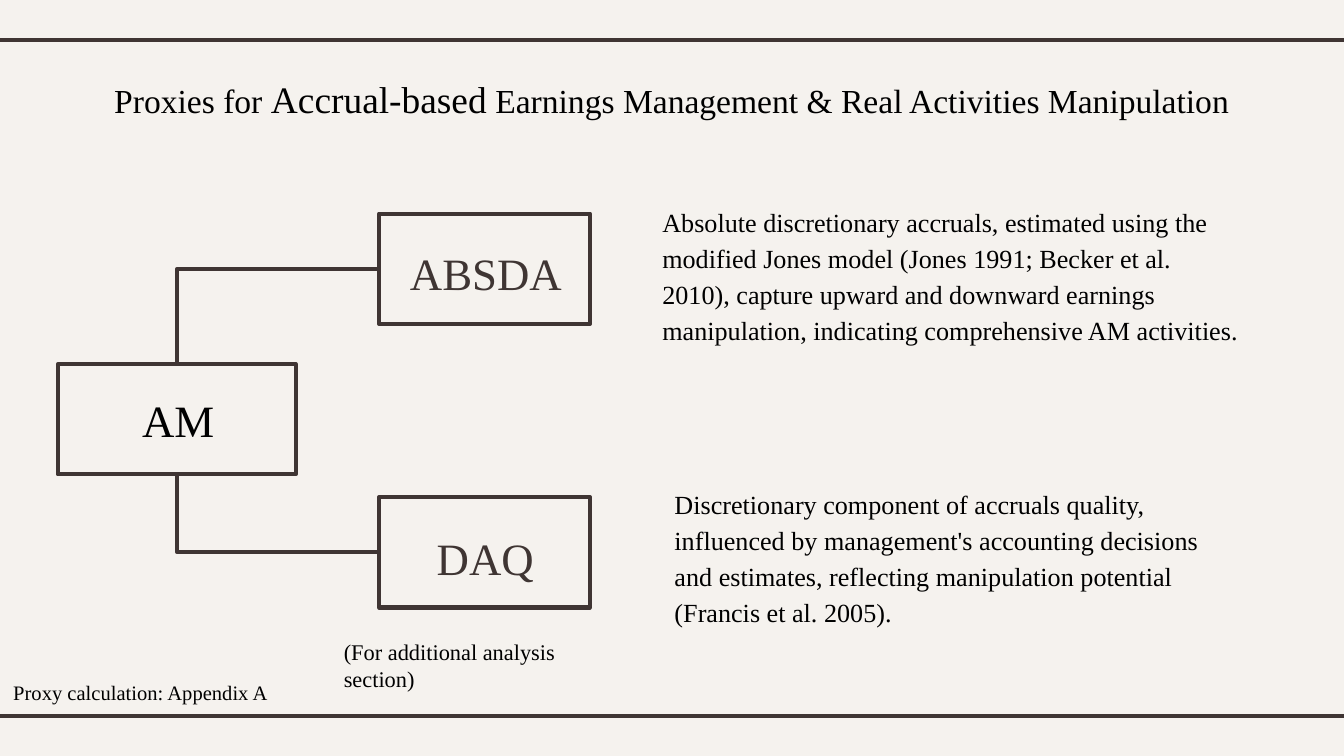
from pptx import Presentation
from pptx.dml.color import RGBColor
from pptx.enum.shapes import MSO_CONNECTOR, MSO_SHAPE
from pptx.enum.text import MSO_ANCHOR, PP_ALIGN
from pptx.oxml.ns import qn
from pptx.util import Inches, Pt
from lxml.etree import SubElement

HUES = {"paper": "F5F2EE", "ink": "3F3533", "text": "000000"}
FONT = "Times New Roman"


class Deck:
    """Hold the style and the current slide."""

    def __init__(self, wide):
        self.show = Presentation()
        self.show.slide_width = Inches(wide)
        self.show.slide_height = Inches(wide * 9 / 16)
        self.slide = self.show.slides.add_slide(self.show.slide_layouts[6])
        fill = self.slide.background.fill
        fill.solid()
        fill.fore_color.rgb = self.hue("paper")

    def hue(self, name):
        return RGBColor.from_string(HUES[name])

    def trim(self, line):
        line.color.rgb = self.hue("ink")
        line.width = Pt(2.25)

    def line(self, start, end, kind=MSO_CONNECTOR.STRAIGHT):
        ends = [Inches(n) for n in (*start, *end)]
        link = self.slide.shapes.add_connector(kind, *ends)
        self.trim(link.line)
        SubElement(link._element.spPr, qn("a:effectLst"))
        return link

    def bend(self, start, end):
        (left, top), (right, low) = start, end
        mid_x, mid_y = (left + right) / 2, (top + low) / 2
        half_w, half_h = abs(low - top) / 2, (right - left) / 2
        rises = low < top
        drop = half_h if rises else -half_h
        link = self.line((mid_x + half_w, mid_y + drop),
                         (mid_x - half_w, mid_y - drop), MSO_CONNECTOR.ELBOW)
        props = link._element.spPr
        props.find(qn("a:prstGeom")).set("prst", "bentConnector2")
        turn = 90 if rises else 270
        props.find(qn("a:xfrm")).set("rot", str(turn * 60000))

    def box(self, area, kind=MSO_SHAPE.RECTANGLE):
        shape = self.slide.shapes.add_shape(kind, *[Inches(n) for n in area])
        shape.shadow.inherit = False
        shape.fill.background()
        self.trim(shape.line)
        return shape

    def text(self, area, parts, hue="text", align=PP_ALIGN.LEFT,
             inset=(0.1, 0.1), space=None, after=0):
        shape = self.slide.shapes.add_textbox(*[Inches(n) for n in area])
        frame = shape.text_frame
        frame.word_wrap = True
        frame.vertical_anchor = MSO_ANCHOR.TOP
        frame.margin_left = frame.margin_right = Inches(inset[0])
        frame.margin_top = frame.margin_bottom = Inches(inset[1])
        para = frame.paragraphs[0]
        para.alignment = align
        para.space_after = Pt(after)
        if space:
            para.line_spacing = space
        for words, size in parts:
            run = para.add_run()
            run.text = words
            run.font.size = Pt(size)
            run.font.name = FONT
            run.font.color.rgb = self.hue(hue)

    def label(self, area, words, hue="ink"):
        self.text(area, [(words, 24)], hue, PP_ALIGN.CENTER)

    def body(self, area, words):
        self.text(area, [(words, 14)], space=1.15, after=12)

    def note(self, area, words, size):
        self.text(area, [(words, size)], inset=(0.1, 0.05))


def main():
    deck = Deck(10)
    for rule in (0.3, 5.33):
        deck.line((-0.08, rule), (10.08, rule))
    deck.text((0.33, 0.47, 9.34, 0.63), [
        ("Proxies for ", 18),
        ("Accrual-based", 20),
        (" Earnings Management & Real Activities Manipulation", 18),
    ], align=PP_ALIGN.CENTER)

    deck.body((4.83, 1.4, 4.5, 1.62),
              "Absolute discretionary accruals, estimated using the modified "
              "Jones model (Jones 1991; Becker et al. 2010), capture upward "
              "and downward earnings manipulation, indicating comprehensive "
              "AM activities.")
    root = deck.box((0.43, 2.71, 1.77, 0.82), MSO_SHAPE.ROUNDED_RECTANGLE)
    root.adjustments[0] = 0
    deck.label((2.91, 1.73, 1.41, 0.52), "ABSDA")
    deck.label((0.62, 2.82, 1.41, 0.63), "AM", "text")
    for top in (1.59, 3.7):
        deck.box((2.82, top, 1.57, 0.82))
    deck.bend((1.32, 2.71), (2.82, 2))
    deck.bend((1.32, 3.53), (2.82, 4.11))
    deck.label((3.12, 3.85, 0.98, 0.52), "DAQ")

    deck.note((2.46, 4.7, 2.31, 0.3), "(For additional analysis section)", 12)
    deck.body((4.92, 3.5, 4.41, 1.19),
              "Discretionary component of accruals quality, influenced by "
              "management's accounting decisions and estimates, reflecting "
              "manipulation potential (Francis et al. 2005).")
    deck.note((0, 5.01, 3.03, 0.29), "Proxy calculation: Appendix A", 11)
    deck.show.save("out.pptx")


if __name__ == "__main__":
    main()
